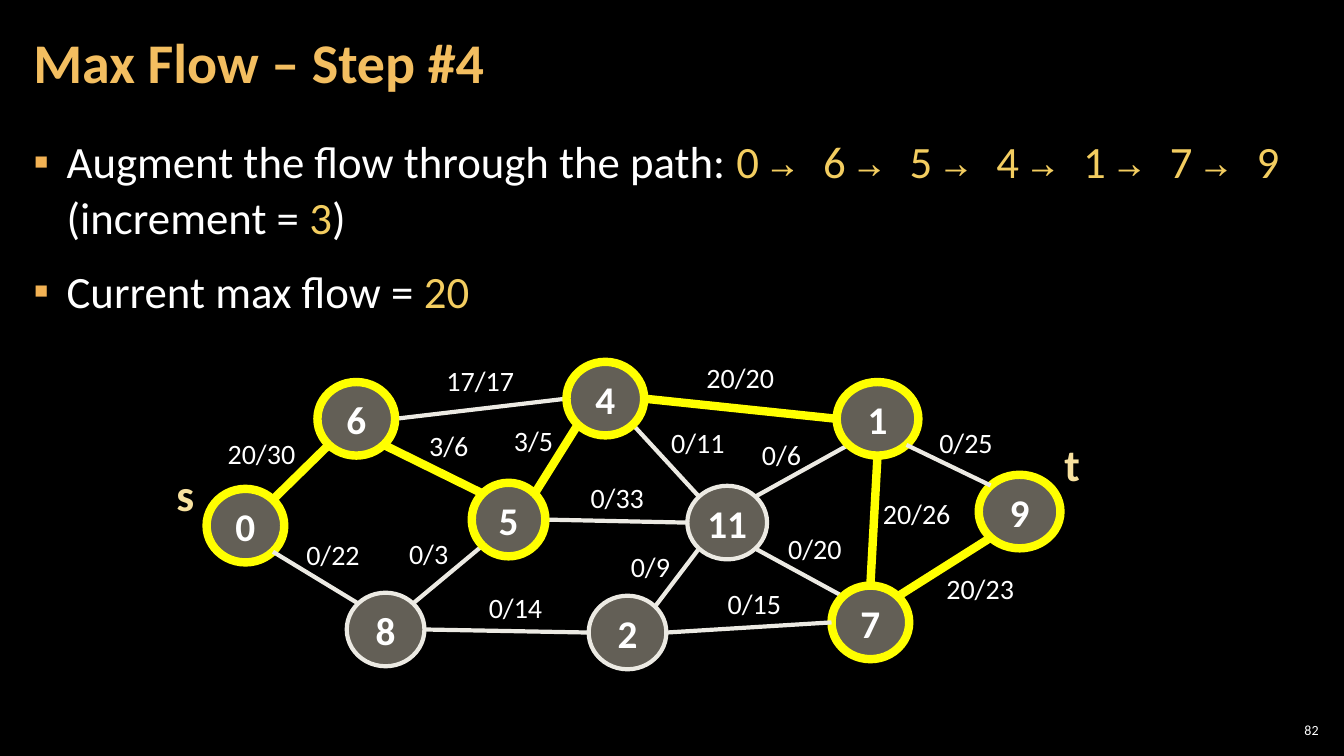
from lxml.etree import SubElement
from pptx import Presentation
from pptx.dml.color import RGBColor
from pptx.enum.shapes import MSO_CONNECTOR as Connector, MSO_SHAPE as Preset
from pptx.enum.text import MSO_ANCHOR as Anchor, MSO_AUTO_SIZE as AutoSize, PP_ALIGN as Align
from pptx.oxml.ns import qn
from pptx.util import Inches, Pt

# The slide is a grid of 100 columns by 100 rows
WIDTH, HEIGHT = Inches(13.33), Inches(7.5)
COLORS = {
    "background": "000000", "text": "FFFFFF", "title": "F3BE60", "bullet": "F2B254",
    "value": "F3CD60", "terminal": "F8E19F", "node": "C7BFAC", "edge": "ECEAE3",
    "path": "FFFF00",
}
FONT, ARROW_FONT = "Calibri", "Noto Sans Mono"

# Augmenting path, and nodes as centre column, centre row, width
PATH = ["0", "6", "5", "4", "1", "7", "9"]
PATH_STEPS = [{start, end} for start, end in zip(PATH, PATH[1:])]
NODE_HEIGHT = 9.73
NODES = {
    "11": (54.11, 69.13, 5.93), "1": (65.29, 55.4, 6.08), "4": (45.04, 52.73, 5.78),
    "5": (37.84, 68.73, 5.48), "8": (28.69, 83.27, 5.78), "2": (46.69, 83.67, 5.78),
    "7": (64.76, 82.33, 5.78), "6": (26.51, 55.4, 5.78), "0": (18.26, 69.53, 5.78),
    "9": (75.86, 67.67, 6.08),
}

# Points on a node's rim, as shares of its radii
DIAGONAL = 0.71
RIM = {
    "N": (0, -1), "S": (0, 1), "W": (-1, 0), "E": (1, 0),
    "NW": (-DIAGONAL, -DIAGONAL), "NE": (DIAGONAL, -DIAGONAL),
    "SW": (-DIAGONAL, DIAGONAL), "SE": (DIAGONAL, DIAGONAL),
}

# Edges: node, rim point, node, rim point, flow, label column, label row
EDGES_BEHIND = [
    ("11", "NE", "1", "SW", "0/6", 55.95, 57.2),
    ("4", "E", "1", "W", "20/20", 51.83, 47.07),
    ("11", "NW", "4", "SE", "0/11", 49.2, 55.6),
    ("5", "E", "11", "W", "0/33", 43.2, 62.93),
    ("4", "SW", "5", "NE", "3/5", 37.5, 55.33),
    ("6", "E", "4", "W", "17/17", 32.48, 47.47),
    ("5", "NW", "6", "SE", "3/6", 31.2, 56),
    ("11", "SE", "7", "NW", "0/20", 57.9, 69.6),
    ("2", "W", "8", "E", "0/14", 35.63, 77.47),
    ("5", "SW", "8", "NE", "0/3", 29.7, 70.27),
    ("2", "NE", "11", "SW", "0/9", 46.2, 72),
    ("0", "NE", "6", "SW", "20/30", 16.2, 57.07),
]
EDGES_IN_FRONT = [
    ("7", "N", "1", "S", "20/26", 64.95, 65.07),
    ("7", "W", "2", "E", "0/15", 53.4, 76.93),
    ("0", "SE", "8", "NW", "0/22", 22.05, 70.4),
    ("9", "NW", "1", "SE", "0/25", 69.15, 55.6),
    ("9", "SW", "7", "NE", "20/23", 69.68, 74.93),
]


def columns(count):
    return int(WIDTH * count / 100)


def rows(count):
    return int(HEIGHT * count / 100)


def box(left, top, width, height):
    return columns(left), rows(top), columns(width), rows(height)


def color(name):
    return RGBColor.from_string(COLORS[name])


def style_run(run, size, color_name, bold=False, font=FONT):
    run.font.name, run.font.size, run.font.bold = font, Pt(size), bold
    run.font.color.rgb = color(color_name)


def set_margins(text_frame, side, edge):
    text_frame.margin_left = text_frame.margin_right = Inches(side)
    text_frame.margin_top = text_frame.margin_bottom = Inches(edge)


def style_line(line, on_path):
    line.color.rgb = color("path" if on_path else "edge")
    line.width = Pt(6 if on_path else 3)


def place(placeholder, *area):
    placeholder.left, placeholder.top, placeholder.width, placeholder.height = box(*area)
    set_margins(placeholder.text_frame, 0.12, 0.04)
    placeholder.text_frame.auto_size = AutoSize.NONE


def add_title(slide, text):
    title = slide.shapes.title
    place(title, 1.58, 0.53, 78.53, 16.13)
    title.text_frame.text = text
    title.text_frame.vertical_anchor = Anchor.MIDDLE
    paragraph = title.text_frame.paragraphs[0]
    paragraph.alignment, paragraph.line_spacing = Align.LEFT, 0.9
    style_run(paragraph.runs[0], 40, "title", bold=True)


def add_bullets(slide, items):
    body = slide.placeholders[1]
    place(body, 1.58, 16.8, 96.83, 81.2)
    body.text_frame.vertical_anchor = Anchor.TOP
    for index, parts in enumerate(items):
        paragraph = body.text_frame.add_paragraph() if index else body.text_frame.paragraphs[0]
        paragraph.line_spacing = 1.05
        paragraph.space_before, paragraph.space_after = Pt(6 if index else 0), Pt(6)
        properties = paragraph._p.get_or_add_pPr()
        properties.set("marL", str(Inches(0.33)))
        properties.set("indent", str(-Inches(0.33)))
        bullet_color = SubElement(properties, qn("a:buClr"))
        SubElement(bullet_color, qn("a:srgbClr")).set("val", COLORS["bullet"])
        SubElement(properties, qn("a:buChar")).set("char", "▪")
        for text, color_name, font in parts:
            run = paragraph.add_run()
            run.text = text
            style_run(run, 32, color_name, font=font)


def add_label(shapes, text, area, size=20, color_name="text", bold=False):
    label = shapes.add_textbox(*box(*area))
    label.text_frame.text = text
    label.text_frame.word_wrap = False
    label.text_frame.auto_size = AutoSize.SHAPE_TO_FIT_TEXT
    style_run(label.text_frame.paragraphs[0].runs[0], size, color_name, bold)
    return label


def rim_point(name, side):
    column, row, width = NODES[name]
    across, down = RIM[side]
    return columns(column + across * width / 2), rows(row + down * NODE_HEIGHT / 2)


def add_edge(shapes, start, start_side, end, end_side):
    edge = shapes.add_connector(
        Connector.STRAIGHT, *rim_point(start, start_side), *rim_point(end, end_side))
    style_line(edge.line, {start, end} in PATH_STEPS)
    SubElement(edge._element.spPr, qn("a:effectLst"))


def add_node(shapes, name):
    column, row, width = NODES[name]
    node = shapes.add_shape(Preset.OVAL, *box(
        column - width / 2, row - NODE_HEIGHT / 2, width, NODE_HEIGHT))
    node.shadow.inherit = False
    node.fill.solid()
    node.fill.fore_color.rgb = color("node")
    fill_color = node._element.spPr.find(qn("a:solidFill"))[0]
    SubElement(fill_color, qn("a:alpha")).set("val", "50000")
    style_line(node.line, name in PATH)
    frame = node.text_frame
    frame.text = name
    frame.word_wrap = False
    frame.vertical_anchor = Anchor.MIDDLE
    set_margins(frame, 0.04, 0.05)
    frame.paragraphs[0].alignment = Align.CENTER
    style_run(frame.paragraphs[0].runs[0], 28, "text", bold=True)


def add_graph(slide):
    shapes = slide.shapes.add_group_shape().shapes
    for edge in EDGES_BEHIND:
        add_edge(shapes, *edge[:4])
    for name in NODES:
        add_node(shapes, name)
    for edge in EDGES_IN_FRONT:
        add_edge(shapes, *edge[:4])
    for *_, flow, left, top in EDGES_BEHIND + EDGES_IN_FRONT:
        add_label(shapes, flow, (left, top, 1.13 + 1.09 * len(flow), 5.87))
    # Source and sink
    add_label(shapes, "s", (12.38, 61.07, 2.85, 8.53), 32, "terminal", True)
    add_label(shapes, "t", (78.45, 57.07, 2.7, 8.53), 32, "terminal", True)


def add_slide_number(slide, text):
    number = add_label(slide.shapes, text, (94.88, 95.2, 3.53, 2.8), 10)
    frame = number.text_frame
    frame.word_wrap, frame.auto_size = True, AutoSize.NONE
    frame.vertical_anchor = Anchor.MIDDLE
    set_margins(frame, 0.04, 0.04)
    frame.paragraphs[0].alignment = Align.RIGHT


def main():
    presentation = Presentation()
    presentation.slide_width, presentation.slide_height = WIDTH, HEIGHT
    slide = presentation.slides.add_slide(presentation.slide_layouts[1])
    slide.background.fill.solid()
    slide.background.fill.fore_color.rgb = color("background")

    # Heading and bullets
    add_title(slide, "Max Flow – Step #4")
    steps = [part for name in PATH[:-1]
             for part in ((name + " ", "value", FONT), ("→ ", "value", ARROW_FONT))]
    add_bullets(slide, [
        [("Augment the flow through the path: ", "text", FONT), *steps,
         (PATH[-1], "value", FONT), (" (increment = ", "text", FONT),
         ("3", "value", FONT), (")", "text", FONT)],
        [("Current max flow = ", "text", FONT), ("20", "value", FONT)],
    ])

    # Flow network and page number
    add_graph(slide)
    add_slide_number(slide, "82")
    presentation.save("out.pptx")


if __name__ == "__main__":
    main()
